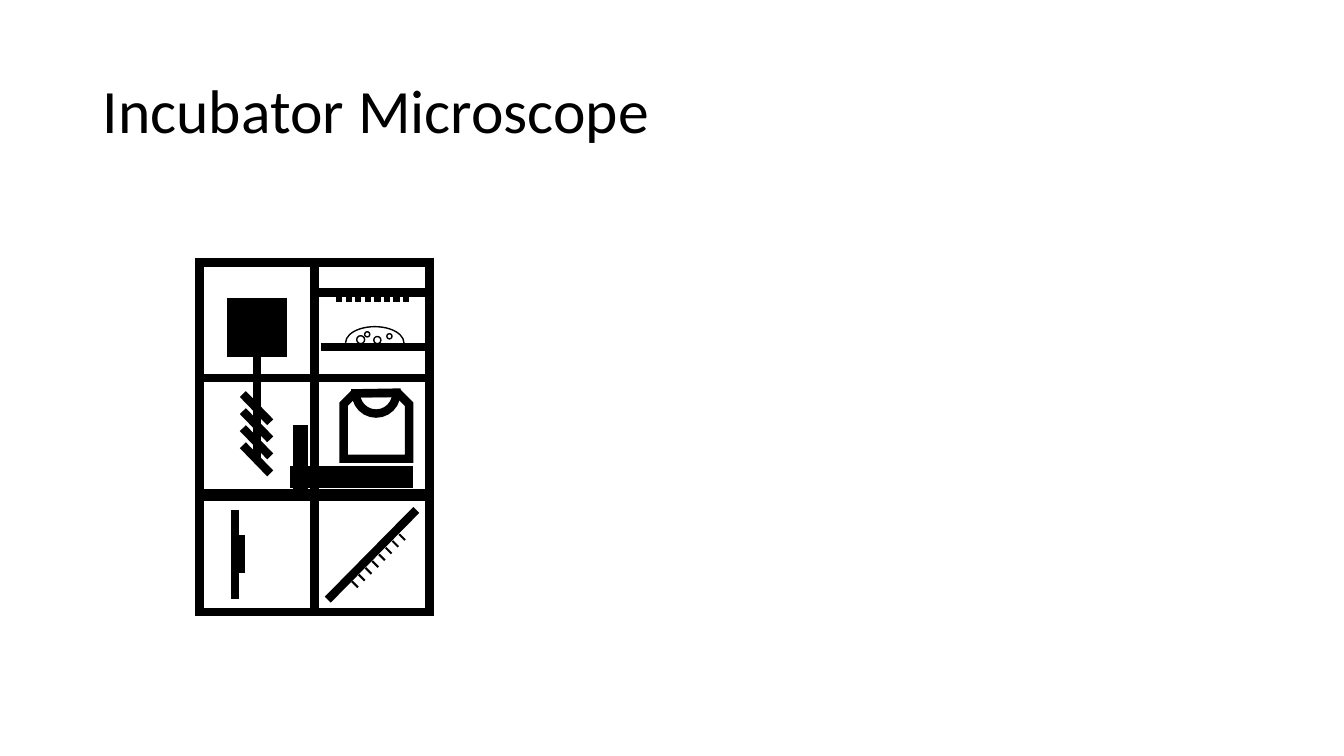
"""Build the Incubator Microscope slide with its six-panel line diagram."""
from lxml import etree
from pptx import Presentation
from pptx.dml.color import RGBColor
from pptx.enum.shapes import MSO_CONNECTOR, MSO_SHAPE
from pptx.enum.text import MSO_ANCHOR
from pptx.oxml.ns import qn
from pptx.util import Cm, Pt

BLACK = RGBColor(0, 0, 0)
THICK, TOOTH, TICK, THIN = 6, 4.5, 1.5, 1
PANEL = 2.9
LEFT, RIGHT = 5.03, 7.93
TOP, MIDDLE, BOTTOM = 6.62, 9.53, 12.53
ADJUSTMENT_PER_DEGREE = 0.6

prs = Presentation()
prs.slide_width, prs.slide_height = Cm(33.87), Cm(19.05)
slide = prs.slides.add_slide(prs.slide_layouts[6])


def add_outline(kind, x, y, w, h, weight, filled=False):
    shape = slide.shapes.add_shape(kind, Cm(x), Cm(y), Cm(w), Cm(h))
    shape.shadow.inherit = False
    if filled:
        shape.fill.solid()
        shape.fill.fore_color.rgb = BLACK
    else:
        shape.fill.background()
    shape.line.color.rgb = BLACK
    shape.line.width = Pt(weight)
    etree.SubElement(shape.line._get_or_add_ln(), qn("a:miter"), lim="800000")
    return shape


def add_line(x1, y1, x2, y2, weight=THICK):
    line = slide.shapes.add_connector(
        MSO_CONNECTOR.STRAIGHT, Cm(x1), Cm(y1), Cm(x2), Cm(y2))
    line.line.color.rgb = BLACK
    line.line.width = Pt(weight)
    etree.SubElement(line._element.spPr, qn("a:effectLst"))


title = slide.shapes.add_textbox(Cm(2.34), Cm(1.02), Cm(29.21), Cm(3.68))
title.text_frame.word_wrap = True
title.text_frame.vertical_anchor = MSO_ANCHOR.MIDDLE
heading = title.text_frame.paragraphs[0]
heading.line_spacing = 0.9
run = heading.add_run()
run.text = "Incubator Microscope"
run.font.name = "Calibri"
run.font.size = Pt(44)
run.font.color.rgb = BLACK

for panel_y in (TOP, MIDDLE, BOTTOM):
    for panel_x in (LEFT, RIGHT):
        add_outline(MSO_SHAPE.RECTANGLE, panel_x, panel_y, PANEL, PANEL, THICK)

stirrer_motor = (5.74, 7.52, 1.47, 1.47)
stage_column = (7.39, 10.72, 0.36, 1.6)
stage_base = (7.32, 11.76, 3.07, 0.53)
for block in (stirrer_motor, stage_column, stage_base):
    add_outline(MSO_SHAPE.RECTANGLE, *block, THIN, filled=True)

add_line(6.48, 11.58, 6.48, 8.59)
for i in range(4):
    blade_y = 9.93 + 0.43 * i
    add_line(6.12, blade_y, 6.81, blade_y + 0.71)

add_outline(MSO_SHAPE.SNIP_2_SAME_RECTANGLE, 8.66, 9.91, 1.65, 1.65, THICK)
vessel_neck = add_outline(MSO_SHAPE.CHORD, 8.97, 9.4, 1.02, 1.02, THICK)
dish_dome = add_outline(MSO_SHAPE.ARC, 9.04, 7.9, 0.81, 1.47, THIN)
for curve, start, end in ((vessel_neck, 88.1, 270), (dish_dome, 270, 98)):
    curve.rotation = 270
    curve.adjustments[0] = start * ADJUSTMENT_PER_DEGREE
    curve.adjustments[1] = end * ADJUSTMENT_PER_DEGREE

add_line(RIGHT, 7.37, RIGHT + PANEL, 7.37)
add_line(8.08, 8.74, 10.87, 8.74)
for i in range(8):
    tooth_x = 8.55 + 0.24 * i
    add_line(tooth_x, 7.4, tooth_x, 7.61, TOOTH)
for x, y, size in ((8.99, 8.46, 0.2), (9.19, 8.36, 0.13),
                   (9.42, 8.48, 0.18), (9.75, 8.41, 0.13)):
    add_outline(MSO_SHAPE.OVAL, x, y, size, size, THIN)

add_line(5.92, 15.09, 5.92, 12.85)
add_line(6.07, 14.45, 6.07, 13.49)

add_line(8.26, 15.11, 10.49, 12.85)
for i in range(8):
    tick_x, tick_y = 8.87 + 0.17 * i, 14.65 - 0.17 * i
    add_line(tick_x, tick_y, tick_x + 0.15, tick_y + 0.15, TICK)

prs.save("out.pptx")
